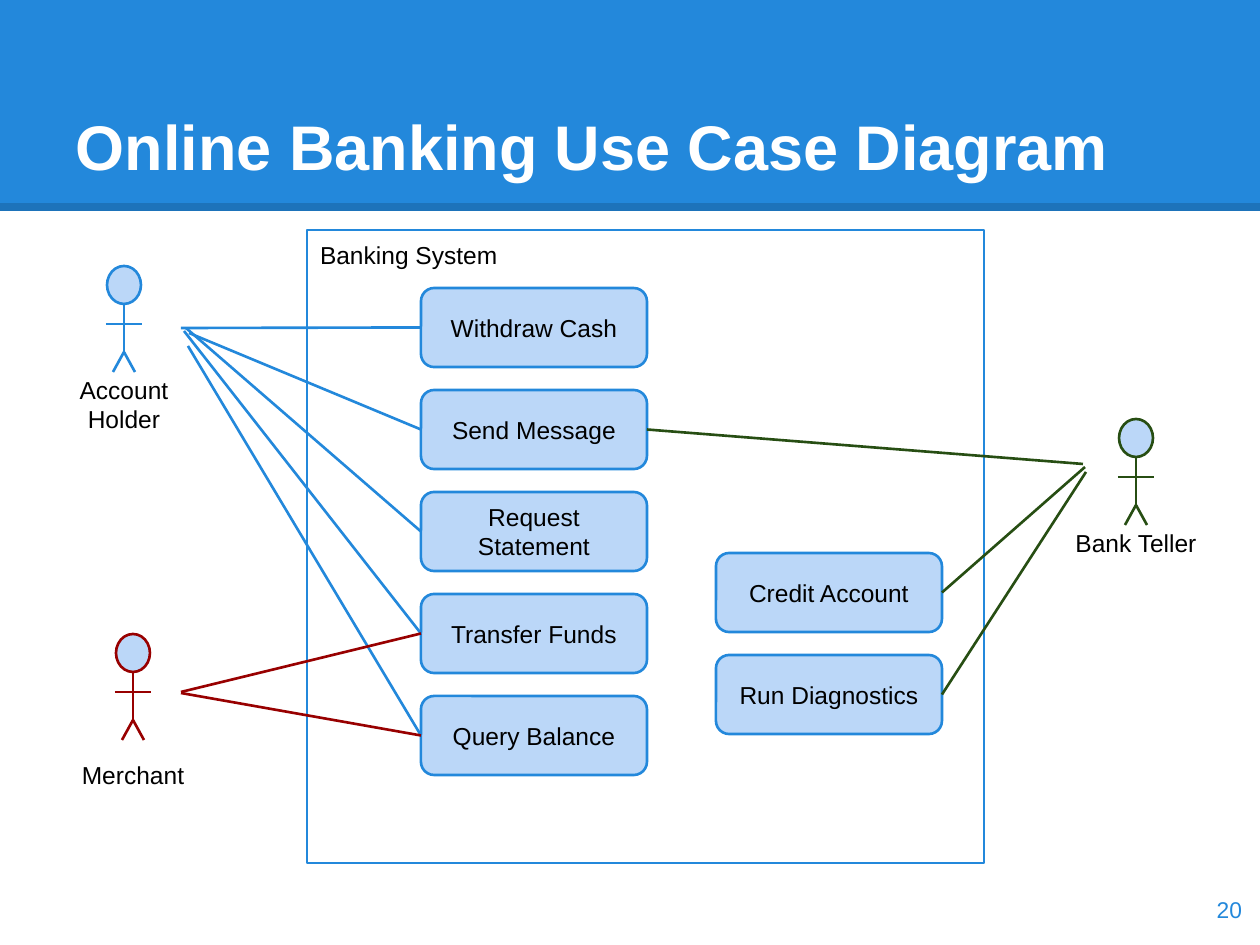
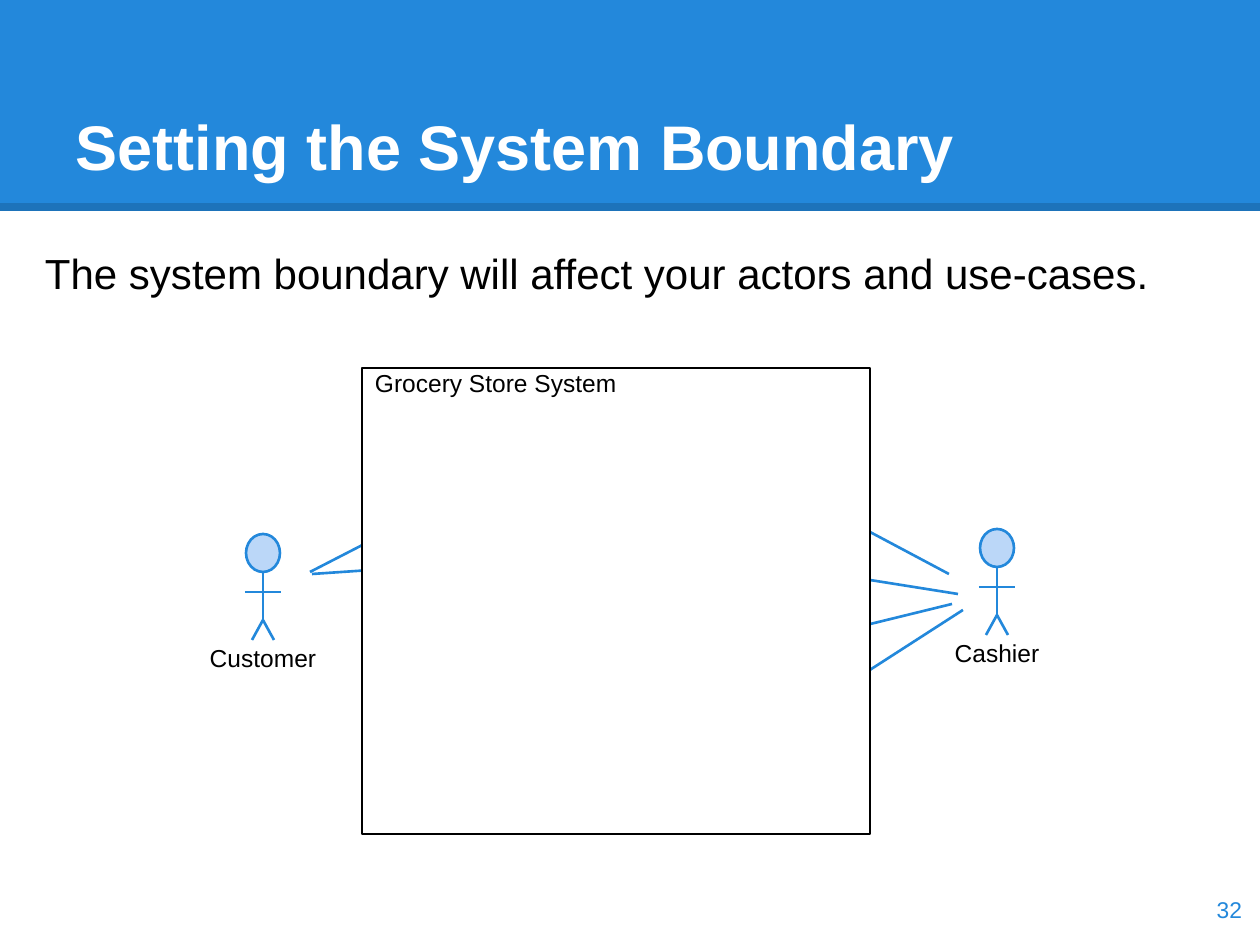
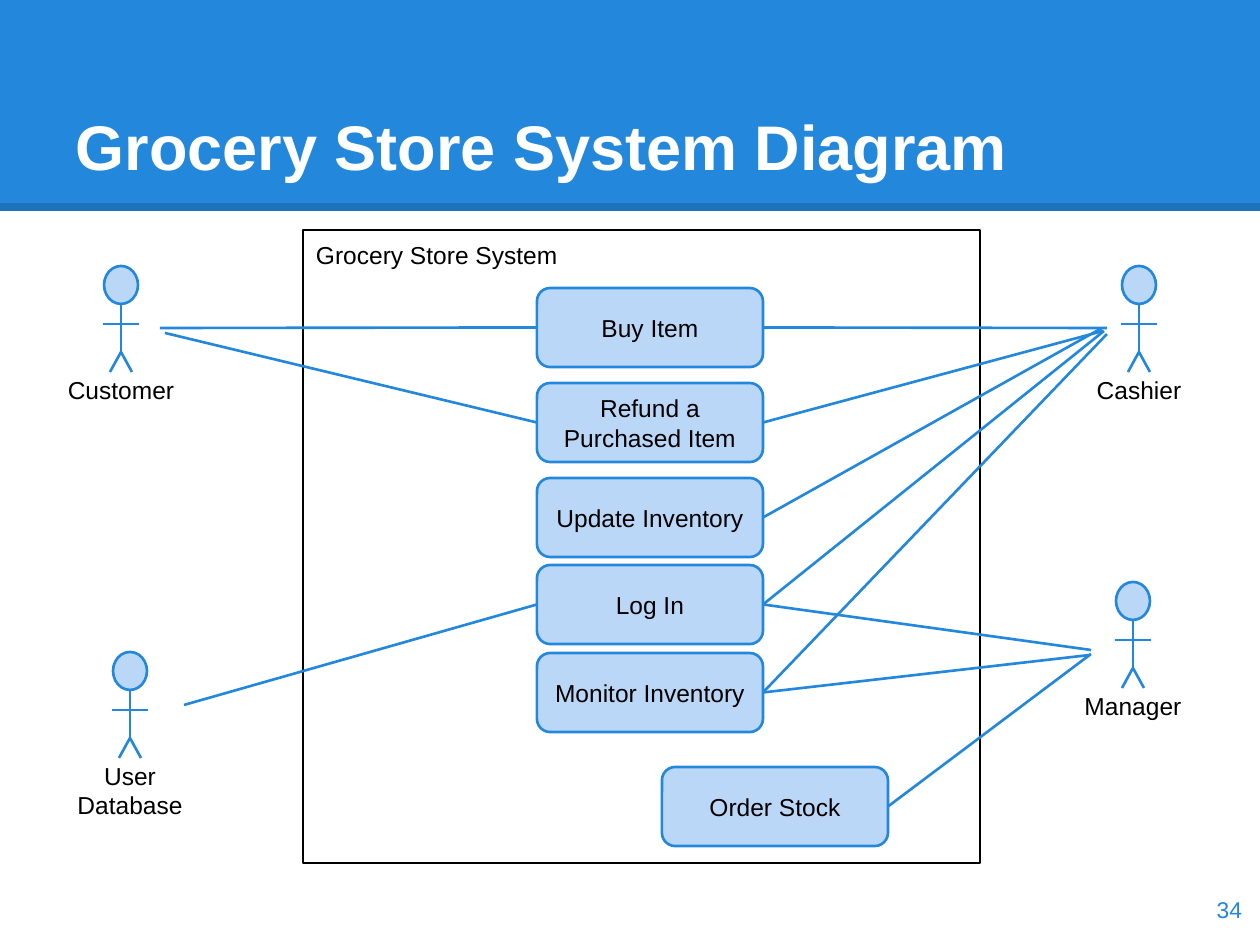
from dataclasses import dataclass

from lxml import etree
from pptx import Presentation
from pptx import util as u
from pptx.dml.color import RGBColor
from pptx.enum import shapes, text
from pptx.oxml import ns

PX_PER_INCH = 126
LEFT_SITE, RIGHT_SITE = 1, 3  # connection sites of a rounded rectangle


@dataclass(frozen=True)
class Theme:
    font: str = "Arial"
    blue: str = "2388DB"
    pale: str = "BBD7F8"
    red: str = "980000"
    green: str = "274E13"
    black: str = "000000"
    white: str = "FFFFFF"
    title: int = 36
    body: int = 24
    label: int = 14
    page: int = 13
    stroke: float = 1.5
    band_edge: float = 4.5
    inset: int = 13


THEME = Theme()


def px(*lengths):
    return [u.Emu(round(n * u.Inches(1) / PX_PER_INCH)) for n in lengths]


# Basic elements
def write(frame, words, size, color=THEME.black, align=text.PP_ALIGN.LEFT,
          anchor=text.MSO_ANCHOR.TOP, bold=False, top=THEME.inset):
    frame.word_wrap = True
    frame.auto_size = text.MSO_AUTO_SIZE.NONE
    frame.vertical_anchor = anchor
    side, frame.margin_top = px(THEME.inset, top)
    frame.margin_left = frame.margin_right = frame.margin_bottom = side
    paragraph = frame.paragraphs[0]
    paragraph.alignment = align
    run = paragraph.add_run()
    run.text = words
    run.font.name = THEME.font
    run.font.size = u.Pt(size)
    run.font.bold = bold
    run.font.color.rgb = RGBColor.from_string(color)


def add_outline(slide, kind, box, fill, edge=None):
    outline = slide.shapes.add_shape(kind, *px(*box))
    outline.shadow.inherit = False
    outline.fill.solid()
    outline.fill.fore_color.rgb = RGBColor.from_string(fill)
    if edge:
        outline.line.color.rgb = RGBColor.from_string(edge)
        outline.line.width = u.Pt(THEME.stroke)
    else:
        outline.line.fill.background()
    return outline


def add_line(slide, start, end, color=THEME.blue, width=THEME.stroke):
    line = slide.shapes.add_connector(shapes.MSO_CONNECTOR.STRAIGHT, *px(*start, *end))
    line.line.color.rgb = RGBColor.from_string(color)
    line.line.width = u.Pt(width)
    etree.SubElement(line.element.spPr, ns.qn("a:effectLst"))
    return line


def add_text(slide, box, words, size, **style):
    write(slide.shapes.add_textbox(*px(*box)).text_frame, words, size, **style)


# Slide frame
def put_band_on_layout(slide):
    layout = slide.slide_layout
    for placeholder in list(layout.placeholders):
        if placeholder.placeholder_format.type != shapes.PP_PLACEHOLDER.TITLE:
            placeholder.element.getparent().remove(placeholder.element)
    band = add_outline(slide, shapes.MSO_SHAPE.RECTANGLE, (0, 0, 1260, 211), THEME.blue)
    edge = add_line(slide, (0, 207), (1260, 207), THEME.black, THEME.band_edge)
    edge_color = edge.element.spPr.find(".//" + ns.qn("a:srgbClr"))
    etree.SubElement(edge_color, ns.qn("a:alpha"), val="15000")
    for depth, part in enumerate((band, edge), start=2):
        layout.shapes.element.insert(depth, part.element)


def add_slide(deck, heading, number):
    slide = deck.slides.add_slide(deck.slide_layouts[5])
    if len(deck.slides) == 1:
        put_band_on_layout(slide)
    title = slide.shapes.title
    title.left, title.top, title.width, title.height = px(63, 38, 1134, 158)
    write(title.text_frame, heading, THEME.title, THEME.white,
          anchor=text.MSO_ANCHOR.BOTTOM, bold=True)
    add_text(slide, (1179, 873, 76, 72), number, THEME.page, color=THEME.blue,
             align=text.PP_ALIGN.RIGHT, anchor=text.MSO_ANCHOR.MIDDLE)
    return slide


# Use case diagram elements
def add_boundary(slide, box, name, edge=THEME.black, top=10):
    system = add_outline(slide, shapes.MSO_SHAPE.RECTANGLE, box, THEME.white, edge)
    write(system.text_frame, name, THEME.label, top=top)


def add_actor(slide, center, top, name, color=THEME.blue, label_drop=96):
    add_outline(slide, shapes.MSO_SHAPE.OVAL, (center - 17, top, 34, 38),
                THEME.pale, color)
    neck, arms, hip, feet = (top + drop for drop in (38, 58, 86, 106))
    add_line(slide, (center, neck), (center, hip), color)
    for foot in (center - 11, center + 11):
        add_line(slide, (center, hip), (foot, feet), color)
    add_line(slide, (center - 18, arms), (center + 18, arms), color)
    add_text(slide, (center - 78, top + label_drop, 156, 38), name, THEME.label,
             align=text.PP_ALIGN.CENTER)


def add_use_cases(slide, left, top, step, names):
    cases = {}
    for row, name in enumerate(names):
        case = add_outline(slide, shapes.MSO_SHAPE.ROUNDED_RECTANGLE,
                           (left, top + row * step, 226, 79), THEME.pale, THEME.blue)
        write(case.text_frame, name, THEME.label, align=text.PP_ALIGN.CENTER,
              anchor=text.MSO_ANCHOR.MIDDLE)
        cases[name] = case
    return cases


def link(slide, cases, site, starts, color=THEME.blue):
    for name, start in starts.items():
        add_line(slide, start, start, color).end_connect(cases[name], site)


# Slides
def build_banking(deck):
    slide = add_slide(deck, "Online Banking Use Case Diagram", "20")
    add_boundary(slide, (307, 230, 677, 633), "Banking System", THEME.blue)
    add_actor(slide, 124, 266, "Account Holder")
    add_actor(slide, 133, 634, "Merchant", THEME.red, label_drop=113)
    add_actor(slide, 1136, 419, "Bank Teller", THEME.green)
    cases = add_use_cases(slide, 421, 288, 102, (
        "Withdraw Cash", "Send Message", "Request Statement",
        "Transfer Funds", "Query Balance"))
    cases |= add_use_cases(slide, 716, 553, 102, ("Credit Account", "Run Diagnostics"))
    link(slide, cases, LEFT_SITE, {
        "Withdraw Cash": (181, 328), "Send Message": (189, 333),
        "Request Statement": (186, 328), "Transfer Funds": (184, 331),
        "Query Balance": (188, 346)})
    link(slide, cases, LEFT_SITE, {
        "Transfer Funds": (181, 692), "Query Balance": (181, 693)}, THEME.red)
    link(slide, cases, RIGHT_SITE, {
        "Send Message": (1083, 464), "Credit Account": (1085, 467),
        "Run Diagnostics": (1086, 472)}, THEME.green)


def build_boundary(deck):
    slide = add_slide(deck, "Setting the System Boundary", "32")
    add_text(slide, (32, 234, 1228, 94),
             "The system boundary will affect your actors and use-cases.", THEME.body)
    add_actor(slide, 997, 529, "Cashier")
    add_actor(slide, 263, 534, "Customer")
    # The lines run on beneath the system
    for customer_end, inner_end in (((310, 572), (518, 465)), ((312, 574), (518, 560))):
        add_line(slide, customer_end, inner_end)
    for cashier_end, inner_y in (((949, 574), 465), ((958, 594), 560),
                                 ((952, 604), 655), ((963, 610), 751)):
        add_line(slide, cashier_end, (744, inner_y))
    add_boundary(slide, (362, 368, 508, 466), "Grocery Store System", top=0)


def build_grocery(deck):
    slide = add_slide(deck, "Grocery Store System Diagram", "34")
    add_boundary(slide, (303, 230, 677, 633), "Grocery Store System")
    add_actor(slide, 121, 266, "Customer")
    add_actor(slide, 130, 652, "User Database")
    add_actor(slide, 1139, 266, "Cashier")
    add_actor(slide, 1133, 582, "Manager")
    cases = add_use_cases(slide, 537, 288, 95, (
        "Buy Item", "Refund a Purchased Item", "Update Inventory"))
    cases |= add_use_cases(slide, 537, 565, 88, ("Log In", "Monitor Inventory"))
    cases |= add_use_cases(slide, 662, 767, 0, ("Order Stock",))
    link(slide, cases, LEFT_SITE, {
        "Buy Item": (160, 328), "Refund a Purchased Item": (165, 333),
        "Log In": (184, 705)})
    link(slide, cases, RIGHT_SITE, {
        "Buy Item": (1107, 328), "Refund a Purchased Item": (1103, 331),
        "Update Inventory": (1102, 328), "Log In": (1104, 331),
        "Monitor Inventory": (1107, 334)})
    link(slide, cases, RIGHT_SITE, {
        "Log In": (1091, 650), "Monitor Inventory": (1090, 655),
        "Order Stock": (1091, 654)})


def main():
    deck = Presentation()
    deck.slide_width, deck.slide_height = px(1260, 945)
    build_banking(deck)
    build_boundary(deck)
    build_grocery(deck)
    deck.save("out.pptx")


if __name__ == "__main__":
    main()
